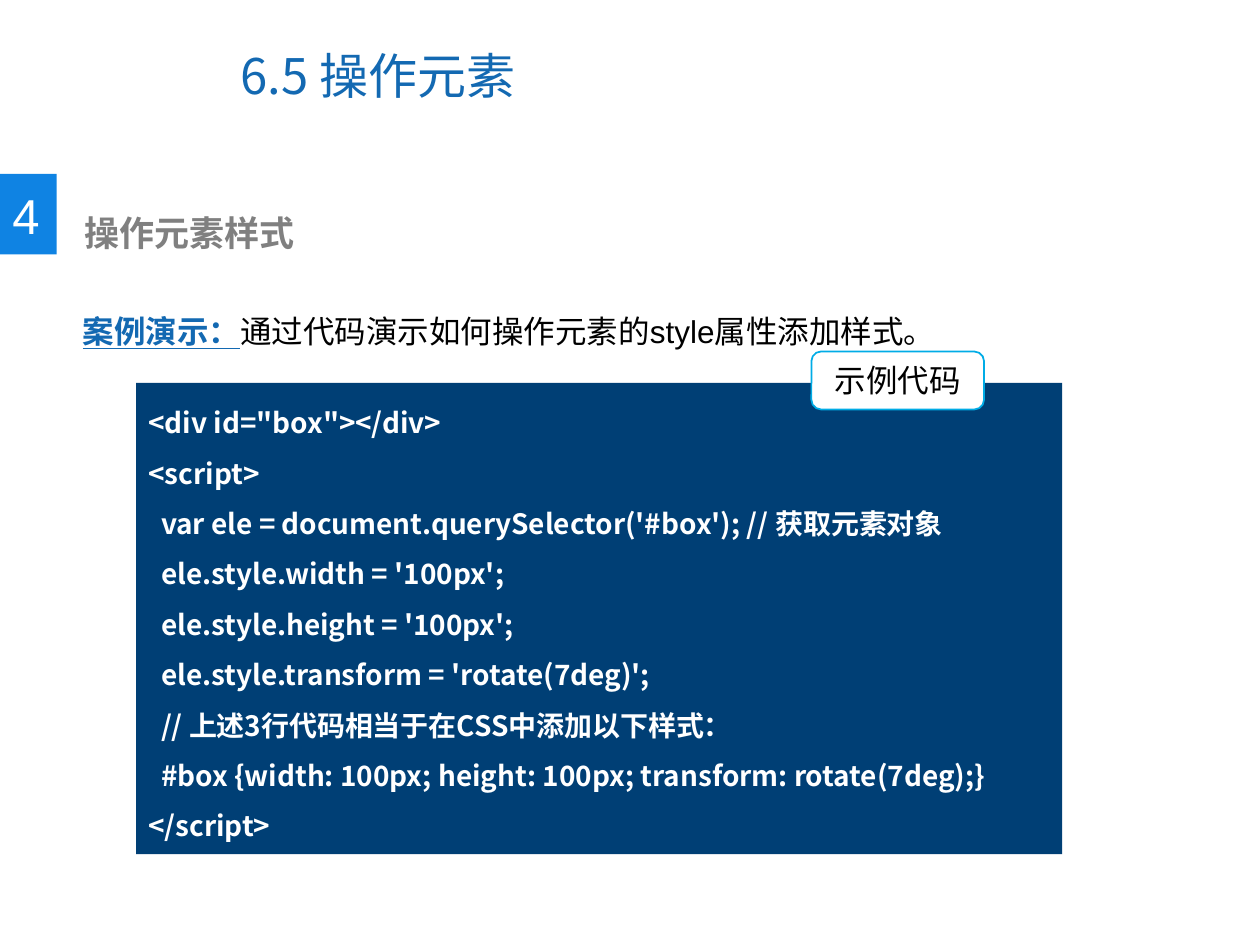
from pptx import Presentation
from pptx.dml.color import RGBColor
from pptx.enum.shapes import MSO_SHAPE
from pptx.enum.text import MSO_ANCHOR, PP_ALIGN
from pptx.oxml.ns import qn
from pptx.util import Inches, Pt
from lxml.etree import SubElement

WHITE = RGBColor(0xFF, 0xFF, 0xFF)
BLACK = RGBColor(0x00, 0x00, 0x00)
GRAY = RGBColor(0x80, 0x80, 0x80)
TITLE_BLUE = RGBColor(0x13, 0x69, 0xB2)
BADGE_BLUE = RGBColor(0x0F, 0x83, 0xE3)
CODE_BLUE = RGBColor(0x00, 0x3F, 0x75)
LABEL_BLUE = RGBColor(0x00, 0xAC, 0xE6)
LATIN = "Arial"
CJK = "Noto Sans CJK SC"
WIDTH, HEIGHT = Inches(10), Inches(7.5)

CODE_LINES = [
    (0, '<div id="box"></div>'),
    (0, "<script>"),
    (1, "var ele = document.querySelector('#box'); // 获取元素对象"),
    (1, "ele.style.width = '100px';"),
    (1, "ele.style.height = '100px';"),
    (1, "ele.style.transform = 'rotate(7deg)';"),
    (1, "// 上述3行代码相当于在CSS中添加以下样式："),
    (1, "#box {width: 100px; height: 100px; transform: rotate(7deg);}"),
    (0, "</script>"),
]


def area(left, top, width, height):
    return (int(WIDTH * left / 100), int(HEIGHT * top / 100),
            int(WIDTH * width / 100), int(HEIGHT * height / 100))


def add_panel(slide, kind, box, fill, line=None):
    shape = slide.shapes.add_shape(kind, *box)
    shape.shadow.inherit = False
    shape.fill.solid()
    shape.fill.fore_color.rgb = fill
    if line is None:
        shape.line.fill.background()
    else:
        shape.line.color.rgb = line
        shape.line.width = Pt(1)
    return prepare_text(shape)


def add_text_box(slide, box, wrap=True):
    return prepare_text(slide.shapes.add_textbox(*box), wrap)


def prepare_text(shape, wrap=True):
    frame = shape.text_frame
    frame.word_wrap = wrap
    frame.vertical_anchor = MSO_ANCHOR.TOP
    return shape


def style_paragraph(paragraph, size, color, name=LATIN, bold=False,
                    align=PP_ALIGN.LEFT, spacing=None, indent=0):
    paragraph.alignment = align
    paragraph.line_spacing = spacing
    font = paragraph.font
    font.name, font.size, font.bold = name, Pt(size), bold
    font.color.rgb = color
    SubElement(font._element, qn("a:ea")).set("typeface", CJK)
    paragraph._p.get_or_add_pPr().set("marL", str(Inches(indent)))


def write(shape, text, size, color, **style):
    paragraph = shape.text_frame.paragraphs[0]
    paragraph.add_run().text = text
    style_paragraph(paragraph, size, color, **style)
    return paragraph


def write_code(shape, lines):
    frame = shape.text_frame
    frame.text = "\n".join(text for _, text in lines)
    for paragraph, (level, _) in zip(frame.paragraphs, lines):
        style_paragraph(paragraph, 16, WHITE, name=CJK, bold=True,
                        spacing=1.5, indent=0.1 * level)


def main():
    presentation = Presentation()
    presentation.slide_width, presentation.slide_height = WIDTH, HEIGHT
    slide = presentation.slides.add_slide(presentation.slide_layouts[6])

    title = add_text_box(slide, area(18.1, 2.27, 51.6, 11.33))
    title.text_frame.vertical_anchor = MSO_ANCHOR.MIDDLE
    write(title, "6.5 操作元素", 28, TITLE_BLUE, name=CJK)

    add_panel(slide, MSO_SHAPE.RECTANGLE, area(0, 18.4, 4.5, 8.53), BADGE_BLUE)
    number = add_text_box(slide, area(0, 18.93, 4.2, 7.6), wrap=False)
    write(number, "4", 28, WHITE)

    heading = add_text_box(slide, area(4.7, 21.73, 51.4, 5.87))
    write(heading, "操作元素样式", 20, GRAY, bold=True, indent=0.1)

    demo = add_text_box(slide, area(5.6, 28.4, 89.1, 9.47))
    paragraph = write(demo, "案例演示：", 18, BLACK, spacing=2.0)
    lead = paragraph.runs[0].font
    lead.bold = lead.underline = True
    lead.color.rgb = TITLE_BLUE
    paragraph.add_run().text = "通过代码演示如何操作元素的style属性添加样式。"

    code = add_panel(slide, MSO_SHAPE.RECTANGLE,
                     area(10.8, 40.53, 73.5, 49.87), CODE_BLUE)
    write_code(code, CODE_LINES)

    label = add_panel(slide, MSO_SHAPE.ROUNDED_RECTANGLE,
                      area(64.4, 37.2, 13.7, 6.13), WHITE, LABEL_BLUE)
    write(label, "示例代码", 18, BLACK, align=PP_ALIGN.CENTER)

    presentation.save("out.pptx")


if __name__ == "__main__":
    main()
